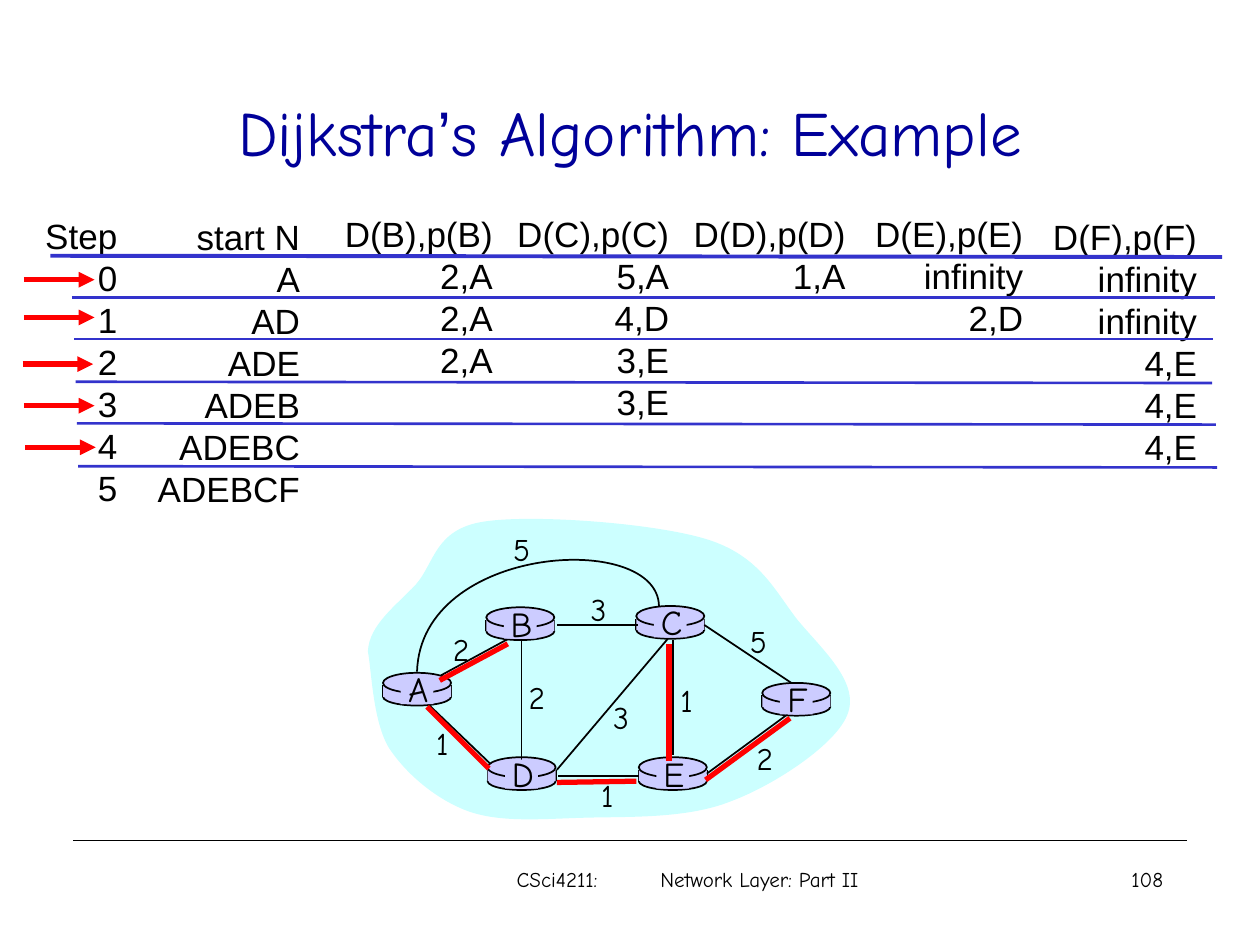
from dataclasses import dataclass
from typing import Sequence

from lxml.etree import SubElement
from pptx import Presentation
from pptx.dml.color import RGBColor
from pptx.enum.shapes import MSO_CONNECTOR as Link, MSO_SHAPE as Preset
from pptx.enum.text import MSO_ANCHOR as Anchor, MSO_AUTO_SIZE as Fit, PP_ALIGN as Align
from pptx.oxml.ns import qn
from pptx.util import Inches, Pt

BLACK = RGBColor(0, 0, 0)
NAVY = RGBColor(0x00, 0x00, 0x99)
RULE_BLUE = RGBColor(0x33, 0x33, 0xCC)
RED = RGBColor(0xFF, 0, 0)
LAVENDER = RGBColor(0xCC, 0xCC, 0xFF)
PALE_CYAN = RGBColor(0xCC, 0xFF, 0xFF)
HAND = "Comic Neue"
SANS = "Arial"
Point = tuple[float, float]


@dataclass
class Column:
    left: float
    top: float
    width: float
    entries: str


@dataclass
class Router:
    name: str
    left: float
    top: float


@dataclass
class Edge:
    start: Point
    end: Point


@dataclass
class Cost:
    value: str
    center: float
    top: float


COLUMNS = [
    Column(0.26, 1.65, 0.77, "Step|0|1|2|3|4|5"),
    Column(1.15, 1.66, 1.33, "start N|A|AD|ADE|ADEB|ADEBC|ADEBCF"),
    Column(2.64, 1.64, 1.37, "D(B),p(B)|2,A|2,A|2,A"),
    Column(4.01, 1.64, 1.4, "D(C),p(C)|5,A|4,D|3,E|3,E"),
    Column(5.41, 1.64, 1.4, "D(D),p(D)|1,A"),
    Column(6.85, 1.64, 1.37, "D(E),p(E)|infinity|2,D"),
    Column(8.26, 1.66, 1.34, "D(F),p(F)|infinity|infinity|4,E|4,E|4,E"),
]
ROW_RULES = [
    Edge((0.57, 2.36), (9.64, 2.36)), Edge((0.59, 2.69), (9.63, 2.69)),
    Edge((0.6, 3.03), (9.62, 3.04)), Edge((0.61, 3.36), (9.65, 3.37)),
    Edge((0.62, 3.7), (9.66, 3.71)),
]
STEP_ARROWS = [(0.19, 2.22), (0.19, 2.52), (0.18, 2.89), (0.19, 3.22), (0.2, 3.55)]
ROUTERS = [
    Router("A", 3.04, 5.34), Router("D", 3.87, 6.01), Router("B", 3.86, 4.82),
    Router("C", 5.05, 4.81), Router("E", 5.07, 6.01), Router("F", 6.05, 5.42),
]
EDGES = [
    Edge((5.34, 5.08), (5.34, 5.99)), Edge((4.14, 5.09), (4.14, 6.03)),
    Edge((4.42, 6.11), (5.3, 5.07)), Edge((5.61, 6.14), (6.25, 5.67)),
    Edge((5.07, 6.16), (4.43, 6.16)), Edge((3.89, 6.06), (3.41, 5.6)),
    Edge((5.06, 4.96), (4.42, 4.96)), Edge((6.28, 5.42), (5.59, 4.96)),
]
SHORTEST_PATHS = [
    Edge((3.39, 5.61), (3.88, 6.1)), Edge((4.42, 6.21), (5.05, 6.2)),
    Edge((3.49, 5.4), (4.03, 5.11)), Edge((5.31, 6.04), (5.31, 5.11)),
    Edge((5.6, 6.19), (6.27, 5.7)),
]
COSTS = [
    Cost("2", 3.66, 4.95), Cost("2", 4.26, 5.33), Cost("1", 3.51, 5.7),
    Cost("3", 4.93, 5.49), Cost("1", 4.82, 6.11), Cost("1", 5.45, 5.36),
    Cost("2", 6.07, 5.82), Cost("5", 6.02, 4.89), Cost("3", 4.75, 4.63),
    Cost("5", 4.14, 4.16),
]
CLOUD = [
    (2.92, 5.17), (2.93, 4.96), (3.14, 4.81), (3.3, 4.64), (3.45, 4.47), (3.45, 4.2),
    (3.84, 4.14), (4.22, 4.08), (5.19, 4.15), (5.61, 4.28), (6.03, 4.41), (6.15, 4.69),
    (6.33, 4.92), (6.52, 5.15), (6.82, 5.41), (6.73, 5.66), (6.65, 5.9), (6.15, 6.23),
    (5.8, 6.36), (5.45, 6.5), (4.99, 6.48), (4.64, 6.49), (4.3, 6.5), (3.98, 6.53),
    (3.72, 6.44), (3.47, 6.35), (3.23, 6.15), (3.09, 5.94), (2.96, 5.73), (2.95, 5.33),
    (2.92, 5.17),
]
ARC_A_TO_C = [(5.23, 4.81), (5.22, 4.21), (3.34, 4.32), (3.31, 5.33)]

deck = Presentation()
deck.slide_width, deck.slide_height = Inches(10), Inches(7.5)
slide = deck.slides.add_slide(deck.slide_layouts[6])
shapes = slide.shapes


def draw_line(edge: Edge, color: RGBColor, weight: float, arrow: bool = False) -> None:
    line = shapes.add_connector(Link.STRAIGHT, *map(Inches, edge.start + edge.end))
    line.line.color.rgb = color
    line.line.width = Pt(weight)
    if arrow:
        SubElement(line.line._get_or_add_ln(), qn("a:tailEnd"), type="triangle")
    SubElement(line._element.spPr, qn("a:effectLst"))


def write(lines: Sequence[str], left: float, top: float, width: float, height: float,
          size: float, align: Align, font: str = HAND, color: RGBColor = BLACK,
          wrap: bool = False):
    frame = shapes.add_textbox(*map(Inches, (left, top, width, height))).text_frame
    frame.word_wrap = wrap
    frame.auto_size = Fit.NONE if wrap else Fit.SHAPE_TO_FIT_TEXT
    frame.text = "\n".join(lines)
    for paragraph in frame.paragraphs:
        paragraph.alignment = align
        paragraph.font.size = Pt(size)
        paragraph.font.name = font
        paragraph.font.color.rgb = color
    return frame


def draw_preset(preset: Preset, left: float, top: float, width: float, height: float,
                outlined: bool) -> None:
    part = shapes.add_shape(preset, *map(Inches, (left, top, width, height)))
    part.shadow.inherit = False
    part.fill.solid()
    part.fill.fore_color.rgb = LAVENDER
    if outlined:
        part.line.color.rgb = BLACK
        part.line.width = Pt(1)
    else:
        part.line.fill.background()


def draw_curve(controls: Sequence[Point], closed: bool):
    start, *others = [(Inches(x), Inches(y)) for x, y in controls]
    builder = shapes.build_freeform(*start)
    builder.add_line_segments(others, close=closed)
    curve = builder.convert_to_shape()
    curve.shadow.inherit = False
    segments = list(curve._element.iter(qn("a:lnTo")))
    for first in range(0, len(segments), 3):
        bezier = segments[first].makeelement(qn("a:cubicBezTo"), {})
        segments[first].addprevious(bezier)
        for segment in segments[first:first + 3]:
            bezier.append(segment[0])
            segment.getparent().remove(segment)
    return curve


def draw_router(router: Router) -> None:
    x, y = router.left, router.top
    draw_preset(Preset.OVAL, x, y + 0.12, 0.54, 0.14, True)
    for side in (x, x + 0.54):
        draw_line(Edge((side, y + 0.1), (side, y + 0.19)), BLACK, 1)
    draw_preset(Preset.RECTANGLE, x, y + 0.1, 0.54, 0.09, False)
    draw_preset(Preset.OVAL, x, y, 0.54, 0.16, True)


def label_router(router: Router) -> None:
    draw_preset(Preset.RECTANGLE, router.left + 0.14, router.top + 0.02, 0.26, 0.23, False)
    write([router.name], router.left + 0.08, router.top - 0.09, 0.4, 0.43, 20, Align.CENTER)


draw_line(Edge((0.58, 6.67), (9.42, 6.67)), BLACK, 0.75)
footer = write(["CSci4211:\tNetwork Layer: Part II"], 3.33, 6.83, 3.58, 0.5, 12,
               Align.LEFT, wrap=True)
footer.margin_left, footer.margin_right = Inches(0.77), 0
footer_properties = footer.paragraphs[0]._p.get_or_add_pPr()
tabs = footer_properties.makeelement(qn("a:tabLst"), {})
SubElement(tabs, qn("a:tab"), pos=str(Inches(1.14)), algn="l")
footer_properties.insert(0, tabs)
write(["108"], 8.75, 6.83, 0.58, 0.5, 12, Align.RIGHT, wrap=True)

title = write(["Dijkstra"], 0.75, 0.42, 8.5, 1.25, 36, Align.CENTER, color=NAVY, wrap=True)
title.vertical_anchor = Anchor.MIDDLE
apostrophe = title.paragraphs[0].add_run()
apostrophe.text = "’"
apostrophe.font.name = SANS
title.paragraphs[0].add_run().text = "s Algorithm: Example"

for column in COLUMNS:
    entries = column.entries.split("|")
    cells = write(entries, column.left, column.top, column.width, 0.1 + len(entries) / 3,
                  20, Align.RIGHT, SANS)
    cells.margin_left = 0
draw_line(Edge((0.4, 2.03), (9.7, 2.04)), RULE_BLUE, 2.25)
for rule in ROW_RULES:
    draw_line(rule, RULE_BLUE, 1.5)

cloud = draw_curve(CLOUD, True)
cloud.fill.solid()
cloud.fill.fore_color.rgb = PALE_CYAN
cloud.line.fill.background()
draw_line(Edge((3.5, 5.36), (4.09, 5.04)), BLACK, 1)
for router in ROUTERS:
    draw_router(router)
for edge in EDGES:
    draw_line(edge, BLACK, 1)
arc = draw_curve(ARC_A_TO_C, False)
arc.fill.background()
arc.line.color.rgb = BLACK
arc.line.width = Pt(1)
for router in ROUTERS:
    label_router(router)
for cost in COSTS:
    write([cost.value], cost.center - 0.17, cost.top, 0.34, 0.4, 18, Align.CENTER)
for path_edge in SHORTEST_PATHS:
    draw_line(path_edge, RED, 3)
for x, y in STEP_ARROWS:
    draw_line(Edge((x, y), (x + 0.56, y)), RED, 3, arrow=True)

deck.save("out.pptx")
